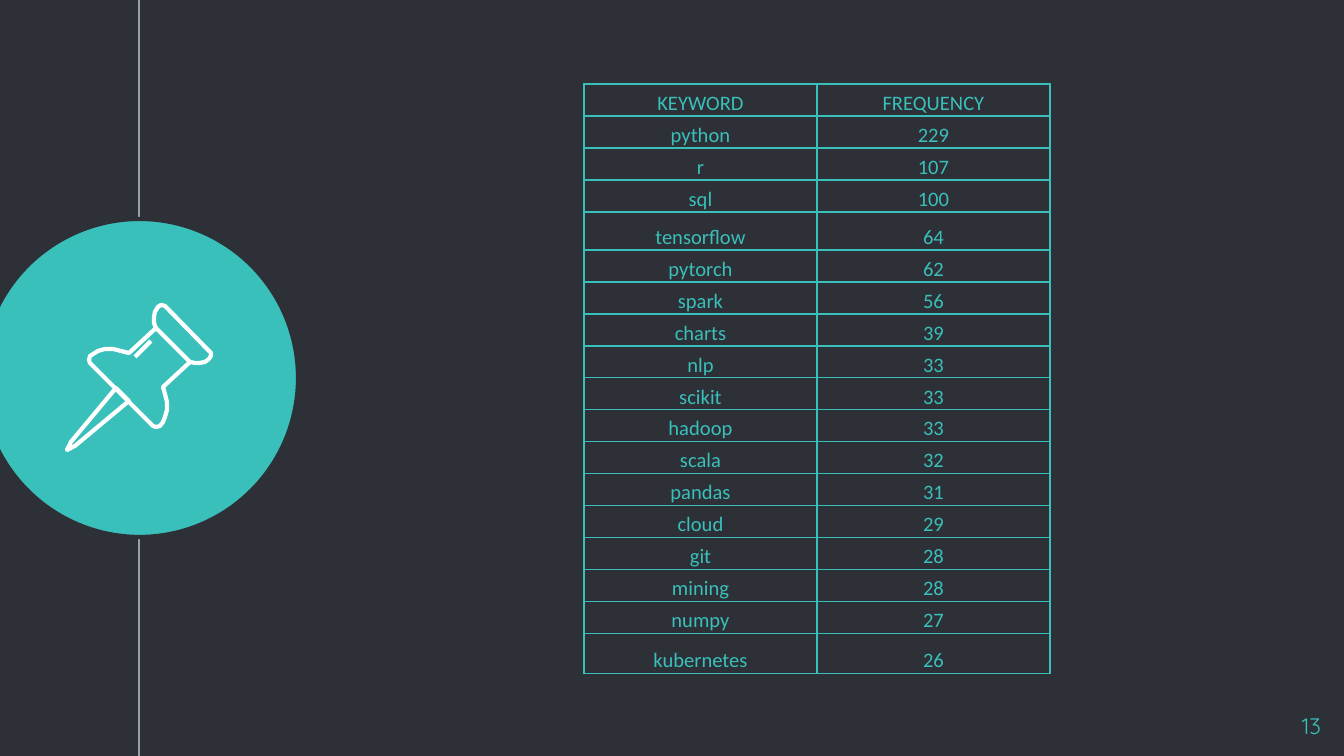
"""Build a slide with a pin badge on a timeline and a keyword frequency table."""
from lxml.etree import SubElement
from pptx import Presentation
from pptx.dml.color import RGBColor
from pptx.enum.shapes import MSO_CONNECTOR, MSO_SHAPE
from pptx.enum.text import MSO_ANCHOR, PP_ALIGN
from pptx.oxml.ns import qn
from pptx.util import Pt

SCALE = 9144000 / 1344
COLORS = {"background": "2E3037", "teal": "39C0BA", "gray": "999FA9", "white": "FFFFFF"}


def px(*values):
    """Turn pixels into a list of EMU lengths."""
    return [round(value * SCALE) for value in values]


def write(frame, text, font_name, size, alignment):
    """Put one teal paragraph into a text frame."""
    paragraph = frame.paragraphs[0]
    paragraph.text = text
    paragraph.alignment = alignment
    paragraph.font.name = font_name
    paragraph.font.size = Pt(size)
    paragraph.font.color.rgb = RGBColor.from_string(COLORS["teal"])


presentation = Presentation()
presentation.slide_width, presentation.slide_height = px(1344, 756)
slide = presentation.slides.add_slide(presentation.slide_layouts[6])
slide.background.fill.solid()
slide.background.fill.fore_color.rgb = RGBColor.from_string(COLORS["background"])
shapes = slide.shapes

timeline = shapes.add_connector(MSO_CONNECTOR.STRAIGHT, *px(139, 0, 139, 756))
timeline.line.color.rgb = RGBColor.from_string(COLORS["gray"])
timeline.line.width = Pt(0.75)
SubElement(timeline._element.spPr, qn("a:effectLst"))

badge = shapes.add_shape(MSO_SHAPE.OVAL, *px(-19, 219, 317, 318))
badge.shadow.inherit = False
badge.fill.solid()
badge.fill.fore_color.rgb = RGBColor.from_string(COLORS["teal"])
badge.line.color.rgb = RGBColor.from_string(COLORS["background"])
badge.line.width = Pt(2.25)

needle = [(116, 388), (71, 442), (67, 450), (75, 446), (129, 401)]
cap = [(156, 328), (190, 362), (195, 363), (200, 363), (205, 362), (209, 359), (211, 356),
       (211, 353), (210, 352), (165, 306), (161, 305), (158, 307), (155, 312), (154, 317),
       (154, 323)]
body = [(156, 328), (129, 353), (121, 351), (113, 349), (105, 349), (98, 351), (90, 356),
        (89, 360), (90, 363), (153, 426), (156, 427), (160, 426), (163, 422), (165, 417),
        (167, 410), (167, 402), (165, 394), (163, 387), (190, 362)]
shine = [(135, 357), (151, 341)]
for points, closed in [(needle, True), (cap, True), (body, False), (shine, False)]:
    builder = shapes.build_freeform(*points[0], scale=SCALE)
    builder.add_line_segments(points[1:], close=closed)
    outline = builder.convert_to_shape()
    outline.shadow.inherit = False
    outline.fill.background()
    outline.line.color.rgb = RGBColor.from_string(COLORS["white"])
    outline.line.width = Pt(2.25)

number_box = shapes.add_textbox(*px(1253, 699, 81, 46))
number_frame = number_box.text_frame
number_frame.word_wrap = True
number_frame.margin_left, number_frame.margin_top = px(13, 13)
number_frame.margin_right, number_frame.margin_bottom = px(13, 13)
write(number_frame, "13", "Quicksand", 12, PP_ALIGN.RIGHT)

keywords = [("KEYWORD", "FREQUENCY"), ("python", "229"), ("r", "107"), ("sql", "100"),
            ("tensorflow", "64"), ("pytorch", "62"), ("spark", "56"), ("charts", "39"),
            ("nlp", "33"), ("scikit", "33"), ("hadoop", "33"), ("scala", "32"),
            ("pandas", "31"), ("cloud", "29"), ("git", "28"), ("mining", "28"),
            ("numpy", "27"), ("kubernetes", "26")]
tall_rows = {"tensorflow": 38, "kubernetes": 40}
table = shapes.add_table(len(keywords), 2, *px(584, 84, 466, 590)).table
for column in table.columns:
    column.width = px(233)[0]
for row, values in zip(table.rows, keywords):
    row.height = px(tall_rows.get(values[0], 32))[0]
    for cell, text in zip(row.cells, values):
        cell.vertical_anchor = MSO_ANCHOR.BOTTOM
        cell.margin_left, cell.margin_right, cell.margin_top, cell.margin_bottom = px(1, 1, 1, 0)
        write(cell.text_frame, text, "Calibri", 11, PP_ALIGN.CENTER)
        properties = cell._tc.get_or_add_tcPr()
        for side in ("lnL", "lnR", "lnT", "lnB"):
            border = SubElement(properties, qn(f"a:{side}"), w=str(Pt(1)))
            border_fill = SubElement(border, qn("a:solidFill"))
            SubElement(border_fill, qn("a:srgbClr"), val=COLORS["teal"])
        cell.fill.solid()
        cell.fill.fore_color.rgb = RGBColor.from_string(COLORS["background"])

presentation.save("out.pptx")
